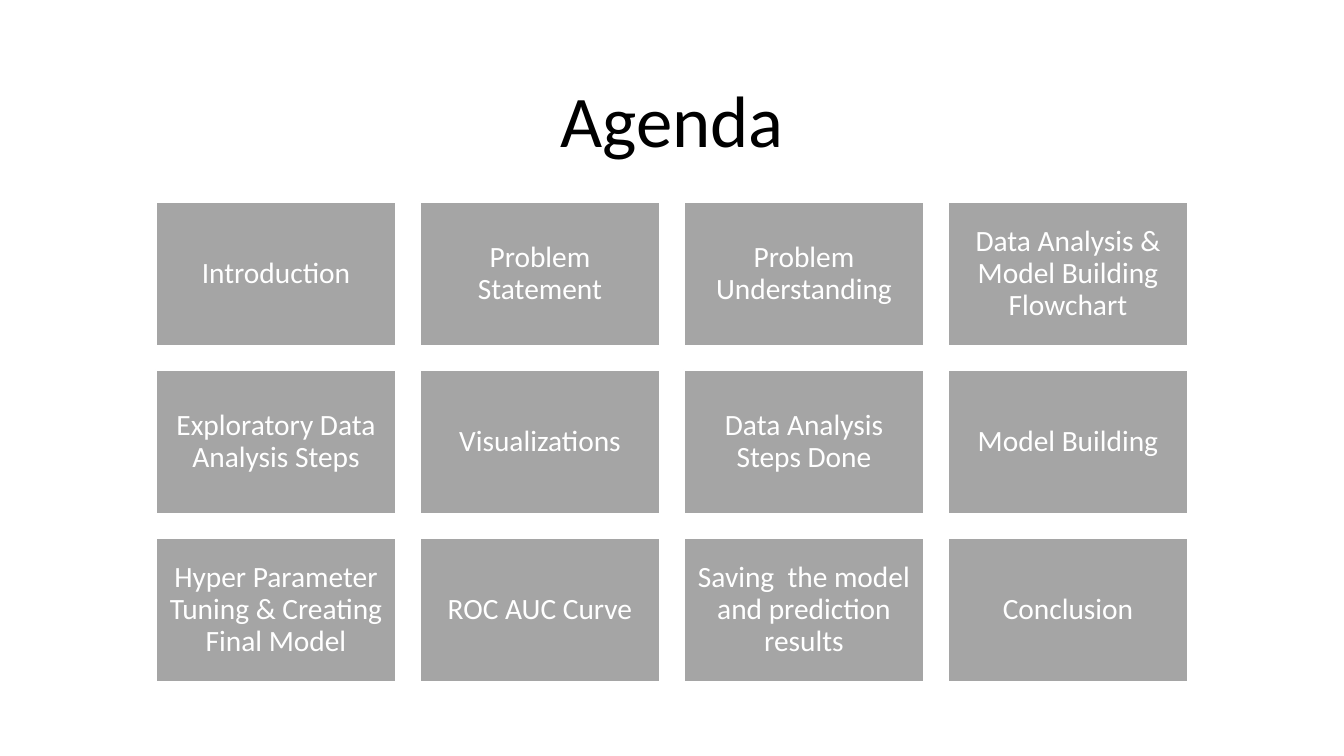
import pptx
import pptx.dml.color
import pptx.enum.shapes
import pptx.enum.text
import pptx.util

EMU_PER_PX = 914400 / 100.8
FONT = "Calibri"
COLORS = {"title": "000000", "card": "A5A5A5", "card_text": "FFFFFF", "card_edge": "FFFFFF"}

COLUMNS = 4
CARD_WIDTH, CARD_HEIGHT = 240, 144
GRID_LEFT, GRID_TOP = 156, 202
GAP = 24
CARD_INSET = 9

TOPICS = [
    "Introduction",
    "Problem Statement",
    "Problem Understanding",
    "Data Analysis & Model Building Flowchart",
    "Exploratory Data Analysis Steps",
    "Visualizations",
    "Data Analysis Steps Done",
    "Model Building",
    "Hyper Parameter Tuning & Creating Final Model",
    "ROC AUC Curve",
    "Saving  the model and prediction results",
    "Conclusion",
]


def px(length):
    return pptx.util.Emu(round(length * EMU_PER_PX))


def color(name):
    return pptx.dml.color.RGBColor.from_string(COLORS[name])


def set_centered_text(frame, text, size, color_name):
    frame.word_wrap = True
    frame.vertical_anchor = pptx.enum.text.MSO_ANCHOR.MIDDLE
    paragraph = frame.paragraphs[0]
    paragraph.text = text
    paragraph.alignment = pptx.enum.text.PP_ALIGN.CENTER
    paragraph.line_spacing = 0.9
    paragraph.font.name = FONT
    paragraph.font.size = pptx.util.Pt(size)
    paragraph.font.color.rgb = color(color_name)


def add_title(slide, text):
    title = slide.shapes.add_textbox(px(92), px(61), px(1160), px(125))
    set_centered_text(title.text_frame, text, 52, "title")


def add_card(slide, left, top, topic):
    card = slide.shapes.add_shape(
        pptx.enum.shapes.MSO_SHAPE.RECTANGLE,
        px(left), px(top), px(CARD_WIDTH), px(CARD_HEIGHT),
    )
    card.shadow.inherit = False
    card.fill.solid()
    card.fill.fore_color.rgb = color("card")
    card.line.color.rgb = color("card_edge")
    card.line.width = pptx.util.Pt(1)
    frame = card.text_frame
    frame.margin_left = frame.margin_right = px(CARD_INSET)
    frame.margin_top = frame.margin_bottom = px(CARD_INSET)
    set_centered_text(frame, topic, 21, "card_text")


def add_agenda_grid(slide, topics):
    for index, topic in enumerate(topics):
        row, column = divmod(index, COLUMNS)
        left = GRID_LEFT + column * (CARD_WIDTH + GAP)
        top = GRID_TOP + row * (CARD_HEIGHT + GAP)
        add_card(slide, left, top, topic)


def main():
    presentation = pptx.Presentation()
    presentation.slide_width = px(1344)
    presentation.slide_height = px(756)
    slide = presentation.slides.add_slide(presentation.slide_layouts[6])
    add_title(slide, "Agenda")
    add_agenda_grid(slide, TOPICS)
    presentation.save("out.pptx")


if __name__ == "__main__":
    main()
